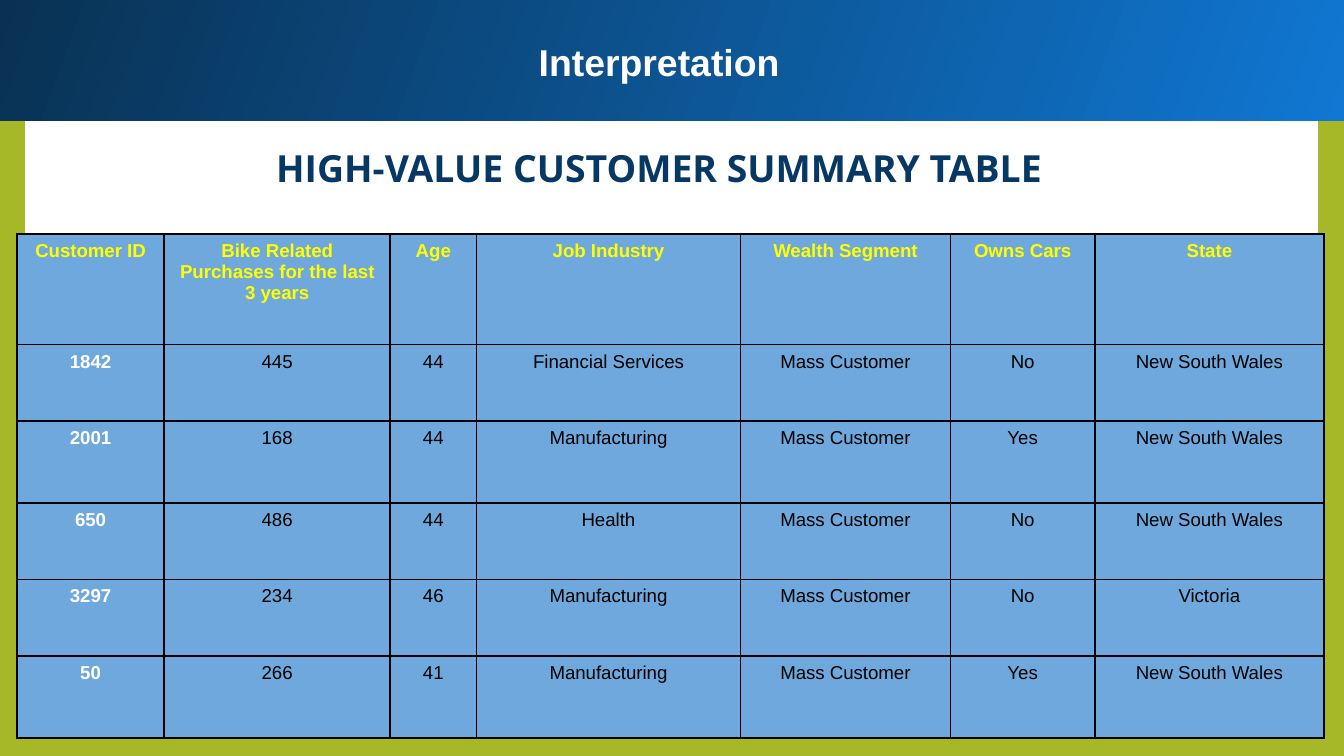
"""Build the high-value customer summary slide."""
import pptx
import pptx.dml.color
import pptx.enum.shapes
import pptx.enum.text
import pptx.oxml
import pptx.oxml.ns
import pptx.util

Pt = pptx.util.Pt
Align = pptx.enum.text.PP_ALIGN

TITLE = "Interpretation"
HEADING = "HIGH-VALUE CUSTOMER SUMMARY TABLE"
HEADER = ("Customer ID", "Bike Related Purchases for the last 3 years", "Age",
          "Job Industry", "Wealth Segment", "Owns Cars", "State")
BUYERS = [
    ("1842", "445", "44", "Financial Services", "Mass Customer", "No", "New South Wales"),
    ("2001", "168", "44", "Manufacturing", "Mass Customer", "Yes", "New South Wales"),
    ("650", "486", "44", "Health", "Mass Customer", "No", "New South Wales"),
    ("3297", "234", "46", "Manufacturing", "Mass Customer", "No", "Victoria"),
    ("50", "266", "41", "Manufacturing", "Mass Customer", "Yes", "New South Wales"),
]

THEME = {
    "back": "A6B727", "panel": "FFFFFF", "band": ("1077D2", "093153"),
    "cell": "6FA8DC", "rule": "000000",
    "title": {"name": "Arial", "size": Pt(20), "bold": True, "color": "FFFFFF"},
    "heading": {"name": "Open Sans", "size": Pt(20), "bold": True, "color": "073763"},
    "header": {"name": "Arial", "size": Pt(10), "bold": True, "color": "FFFF00"},
    "key": {"name": "Arial", "size": Pt(10), "bold": True, "color": "FFFFFF"},
    "body": {"name": "Arial", "size": Pt(10), "bold": False, "color": "000000"},
}

PAGE = (720, 405)
PANEL = (13.5, 14.5, 692.5, 376.5)
BAND = (-1.5, -1.5, 723.5, 66.25)
TITLE_BOX = (15.85, 13.7, 674.65, 46)
HEAD_BOX = (15.85, 67, 674.65, 40.3)
TABLE_AT = (9, 125.3)
COLS = (79, 121, 46.3, 141.4, 112.5, 77.4, 122.7)
ROWS = (59.3, 41, 43.9, 41, 41, 43.9)
FRAME = {"word_wrap": True, "auto_size": pptx.enum.text.MSO_AUTO_SIZE.NONE,
         "vertical_anchor": pptx.enum.text.MSO_ANCHOR.TOP,
         "margin_left": Pt(7.2), "margin_right": Pt(7.2),
         "margin_top": Pt(7.2), "margin_bottom": Pt(7.2)}


def apply(thing, values):
    for name, value in values.items():
        setattr(thing, name, value)


def tint(code):
    return pptx.dml.color.RGBColor.from_string(code)


def place(shape, box):
    apply(shape, dict(zip(("left", "top", "width", "height"), map(Pt, box))))


def write(frame, text, style, space=1.0):
    line = frame.paragraphs[0]
    apply(line, {"alignment": Align.CENTER, "line_spacing": space})
    run = line.add_run()
    run.text = text
    apply(run.font, {k: v for k, v in style.items() if k != "color"})
    run.font.color.rgb = tint(style["color"])


def add_box(slide, box):
    kind = pptx.enum.shapes.MSO_SHAPE.RECTANGLE
    shape = slide.shapes.add_shape(kind, *map(Pt, box))
    shape.shadow.inherit = False
    shape.line.fill.background()
    return shape


def add_rules(cell):
    props = cell._tc.get_or_add_tcPr()
    for side in "LRTB":
        props.append(pptx.oxml.parse_xml(
            f'<a:ln{side} {pptx.oxml.ns.nsdecls("a")} w="{Pt(1)}"><a:solidFill>'
            f'<a:srgbClr val="{THEME["rule"]}"/></a:solidFill></a:ln{side}>'))


def add_grid(slide):
    grid = [HEADER] + BUYERS
    table = slide.shapes.add_table(len(ROWS), len(COLS), *map(
        Pt, TABLE_AT + (sum(COLS), sum(ROWS)))).table
    apply(table, {"first_row": False, "horz_banding": False})
    for col, width in zip(table.columns, COLS):
        col.width = Pt(width)
    for r, (row, height) in enumerate(zip(table.rows, ROWS)):
        row.height = Pt(height)
        for c, cell in enumerate(row.cells):
            role = "header" if r == 0 else "key" if c == 0 else "body"
            write(cell.text_frame, grid[r][c], THEME[role])
            add_rules(cell)
            cell.fill.solid()
            cell.fill.fore_color.rgb = tint(THEME["cell"])


def main():
    deck = pptx.Presentation()
    apply(deck, {"slide_width": Pt(PAGE[0]), "slide_height": Pt(PAGE[1])})
    slide = deck.slides.add_slide(deck.slide_layouts[5])
    panel = add_box(slide, PANEL)
    for fill, code in ((slide.background.fill, "back"), (panel.fill, "panel")):
        fill.solid()
        fill.fore_color.rgb = tint(THEME[code])

    band = add_box(slide, BAND)
    band.fill.gradient()
    band.fill.gradient_angle = 160
    for stop, code, spot in zip(band.fill.gradient_stops, THEME["band"], (0, 1)):
        stop.color.rgb = tint(code)
        stop.position = spot

    title = slide.shapes.title
    title.element.getparent().append(title.element)
    heading = slide.shapes.add_textbox(0, 0, 0, 0)
    for shape, box, text, role, space in (
            (title, TITLE_BOX, TITLE, "title", 1.0),
            (heading, HEAD_BOX, HEADING, "heading", 1.15)):
        place(shape, box)
        apply(shape.text_frame, FRAME)
        write(shape.text_frame, text, THEME[role], space)

    add_grid(slide)
    deck.save("out.pptx")


if __name__ == "__main__":
    main()
